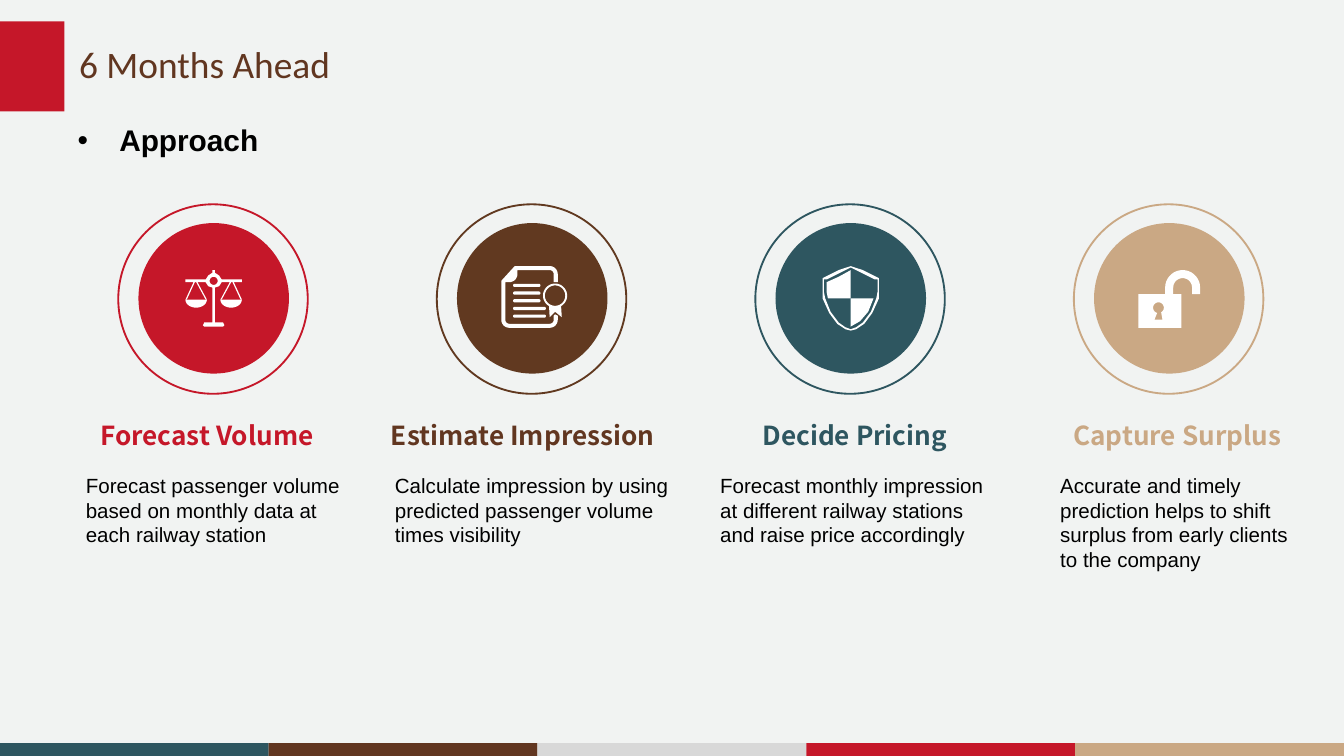
"""Build the "6 Months Ahead" approach slide."""
import dataclasses
import math

import pptx
import pptx.dml.color
import pptx.enum.shapes
import pptx.enum.text
import pptx.oxml
import pptx.oxml.ns
import pptx.util

SHAPE = pptx.enum.shapes.MSO_SHAPE
ALIGN = pptx.enum.text.PP_ALIGN
ANCHOR = pptx.enum.text.MSO_ANCHOR
AUTOFIT = pptx.enum.text.MSO_AUTO_SIZE
EMU_PER_PX = 9144


@dataclasses.dataclass(frozen=True)
class Theme:
    """Colours, fonts and type sizes."""
    paper: str = "F1F3F2"
    red: str = "C51729"
    brown: str = "613620"
    umber: str = "613920"
    teal: str = "2E5660"
    tan: str = "CAA884"
    grey: str = "D8D8D8"
    white: str = "FFFFFF"
    ink: str = "000000"
    title_font: str = "Calibri"
    heading_font: str = "Noto Sans CJK SC"
    body_font: str = "Arial"
    title_size: int = 20
    topic_size: int = 16
    heading_size: int = 14
    body_size: int = 11


def emu(px):
    """Turn px into EMU."""
    return pptx.util.Emu(round(px * EMU_PER_PX))


def rgb(code):
    """Turn a hex code into a colour."""
    return pptx.dml.color.RGBColor.from_string(code)


def arc(cx, cy, rx, ry, start, end):
    """List points on an ellipse between two angles in degrees, clockwise."""
    steps = max(6, abs(end - start) // 10)
    angles = [math.radians(start + (end - start) * i / steps) for i in range(steps + 1)]
    return [(cx + rx * math.cos(a), cy + ry * math.sin(a)) for a in angles]


def mirrored(axis, half):
    """Close a half outline with its reflection about a vertical axis."""
    return half + [(2 * axis - x, y) for x, y in reversed(half)]


class Deck:
    """Hold the theme and the current slide."""

    def __init__(self, theme, width):
        """Start a 16:9 deck with one blank slide."""
        self.theme = theme
        self.file = pptx.Presentation()
        self.file.slide_width, self.file.slide_height = emu(width), emu(width * 9 / 16)
        self.slide = self.file.slides.add_slide(self.file.slide_layouts[6])
        self.slide.background.fill.solid()
        self.slide.background.fill.fore_color.rgb = rgb(theme.paper)

    def paint(self, shape, fill=None, line=None):
        """Give a shape its fill and line and no shadow."""
        shape.shadow.inherit = False
        if fill:
            shape.fill.solid()
            shape.fill.fore_color.rgb = rgb(fill)
        else:
            shape.fill.background()
        if line:
            shape.line.color.rgb = rgb(line)
            shape.line.width = pptx.util.Pt(1)
        else:
            shape.line.fill.background()

    def preset(self, kind, box, **paint):
        """Add a preset shape."""
        self.paint(self.slide.shapes.add_shape(kind, *map(emu, box)), **paint)

    def outline(self, *contours):
        """Add a white freeform made of closed contours."""
        contours = [[(emu(x), emu(y)) for x, y in c] for c in contours]
        builder = self.slide.shapes.build_freeform(*contours[0][0], scale=1.0)
        builder.add_line_segments(contours[0][1:], close=True)
        for contour in contours[1:]:
            builder.move_to(*contour[0])
            builder.add_line_segments(contour[1:], close=True)
        self.paint(builder.convert_to_shape(), fill=self.theme.white)

    def text(self, words, box, *, size, font, color, bold=False, align=ALIGN.LEFT,
             anchor=ANCHOR.TOP, wrap=True, grow=False, before=None, spacing=None, bullet=None):
        """Add a text box."""
        frame = self.slide.shapes.add_textbox(*map(emu, box)).text_frame
        frame.word_wrap = wrap
        frame.vertical_anchor = anchor
        frame.auto_size = AUTOFIT.SHAPE_TO_FIT_TEXT if grow else AUTOFIT.NONE
        paragraph = frame.paragraphs[0]
        paragraph.alignment = align
        if before:
            paragraph.space_before = pptx.util.Pt(before)
        if spacing:
            paragraph.line_spacing = spacing
        if bullet:
            properties = paragraph._p.get_or_add_pPr()
            properties.set("marL", str(emu(31)))
            properties.set("indent", str(-emu(31)))
            for mark in (f'buFont {pptx.oxml.ns.nsdecls("a")} typeface="{font}"',
                         f'buChar {pptx.oxml.ns.nsdecls("a")} char="{bullet}"'):
                properties.append(pptx.oxml.parse_xml(f"<a:{mark}/>"))
        run = paragraph.add_run()
        run.text = words
        run.font.size, run.font.name, run.font.bold = pptx.util.Pt(size), font, bold
        run.font.color.rgb = rgb(color)

    def scales(self):
        """Draw the balance scales."""
        half = [(160, 201), (160, 203), (163, 205), (165, 208), (180, 208), (180, 210),
                (174, 210), (180, 223), (179, 223), (173, 210), (172, 210), (165, 223),
                (164, 223), (171, 210), (165, 210), (163, 213), (160, 214), (160, 240),
                (166, 240), (167, 242), (166, 243)]
        for pan in (146, 172):
            self.outline(arc(pan, 223, 8, 6, 0, 180))
        self.outline(mirrored(159, half), arc(159, 209, 3, 3, 0, 360))

    def certificate(self):
        """Draw the sheet, its lines and its seal."""
        self.outline(
            [(413, 234), (415, 235)] + arc(409, 238, 6, 6, 0, 90) + arc(379, 238, 6, 6, 90, 180)
            + [(373, 209), (383, 198)] + arc(409, 204, 6, 6, 270, 360) + [(415, 210), (412, 210)]
            + arc(409, 204, 3, 3, 360, 270) + [(385, 201)] + arc(379, 204, 6, 6, 0, 90)
            + [(376, 210)] + arc(379, 238, 3, 3, 180, 90) + arc(409, 238, 3, 3, 90, 0)
            + [(412, 235)])
        for row, right in enumerate((401, 401, 401, 405, 405)):
            y = 212.4 + 5.7 * row
            self.outline(arc(383, y, 1.2, 1.2, 90, 270) + arc(right, y, 1.2, 1.2, -90, 90))
        self.outline(arc(413, 220, 9, 9, 120, 420) + [(418, 236), (413, 232), (409, 236)],
                     arc(413, 220, 7.6, 7.6, 0, 360))

    def shield(self):
        """Draw the quartered shield."""
        rim = [(633, 198), (642, 201), (652, 206), (654, 207), (654, 222), (649, 233),
               (643, 241), (637, 245), (633, 246)]
        inside = [(633, 199), (641, 203), (651, 208), (653, 208), (653, 217), (652, 222),
                  (648, 232), (642, 240), (637, 243.5), (633, 245)]
        self.outline(mirrored(633, rim), mirrored(633, inside))
        self.outline([(633, 201), (633, 222), (616, 222), (615, 217), (615, 210), (624, 206)])
        self.outline([(633, 222), (650, 222), (646, 232), (640, 239), (633, 243)])

    def padlock(self):
        """Draw the open padlock."""
        self.outline(
            [(847, 219), (867, 219)] + arc(880, 214, 13, 13, 180, 360) + [(893, 219), (887, 219)]
            + arc(880, 214, 7, 7, 360, 180) + [(873, 219), (879, 219), (879, 244), (847, 244)],
            [(865, 238), (859, 238), (861, 233)] + arc(862, 229, 4, 4, 120, 420))


def main():
    """Build and save the slide."""
    theme = Theme()
    deck = Deck(theme, 1000)
    for i, color in enumerate((theme.teal, theme.brown, theme.grey, theme.red, theme.tan)):
        deck.preset(SHAPE.RECTANGLE, (200 * i, 553, 200, 9.5), fill=color)
    deck.preset(SHAPE.RECTANGLE, (0, 16, 48, 67), fill=theme.red)
    deck.text("6 Months Ahead", (49, 30, 301, 39), size=theme.title_size, font=theme.title_font,
              color=theme.brown, anchor=ANCHOR.MIDDLE, spacing=0.9)
    deck.text("Approach", (48, 86, 196, 37), size=theme.topic_size, font=theme.body_font,
              color=theme.ink, bold=True, grow=True, bullet="•")
    steps = [
        ("Forecast Volume", 62, 184, theme.red, theme.red, deck.scales, 54, 210,
         "Forecast passenger volume based on monthly data at each railway station"),
        ("Estimate Impression", 279, 220, theme.brown, theme.umber, deck.certificate, 284, 230,
         "Calculate impression by using predicted passenger volume times visibility"),
        ("Decide Pricing", 555, 162, theme.teal, theme.teal, deck.shield, 526, 221,
         "Forecast monthly impression at different railway stations and raise price accordingly"),
        ("Capture Surplus", 787, 178, theme.tan, theme.tan, deck.padlock, 779, 200,
         "Accurate and timely prediction helps to shift surplus from early clients"
         " to the company"),
    ]
    for i, (heading, left, width, color, badge, icon, note_left, note_width, note) in enumerate(steps):
        ring_left = 88 + 237 * i
        deck.preset(SHAPE.OVAL, (ring_left + 15, 166, 112, 112), fill=badge)
        deck.preset(SHAPE.OVAL, (ring_left, 152, 141, 141), line=badge)
        icon()
        deck.text(heading, (left, 307, width, 34), size=theme.heading_size, bold=True,
                  font=theme.heading_font, color=color, align=ALIGN.CENTER, wrap=False, grow=True)
        deck.text(note, (note_left, 347, note_width, 79 if i == 3 else 66), size=theme.body_size,
                  font=theme.body_font, color=theme.ink, before=10)
    deck.file.save("out.pptx")


if __name__ == "__main__":
    main()
